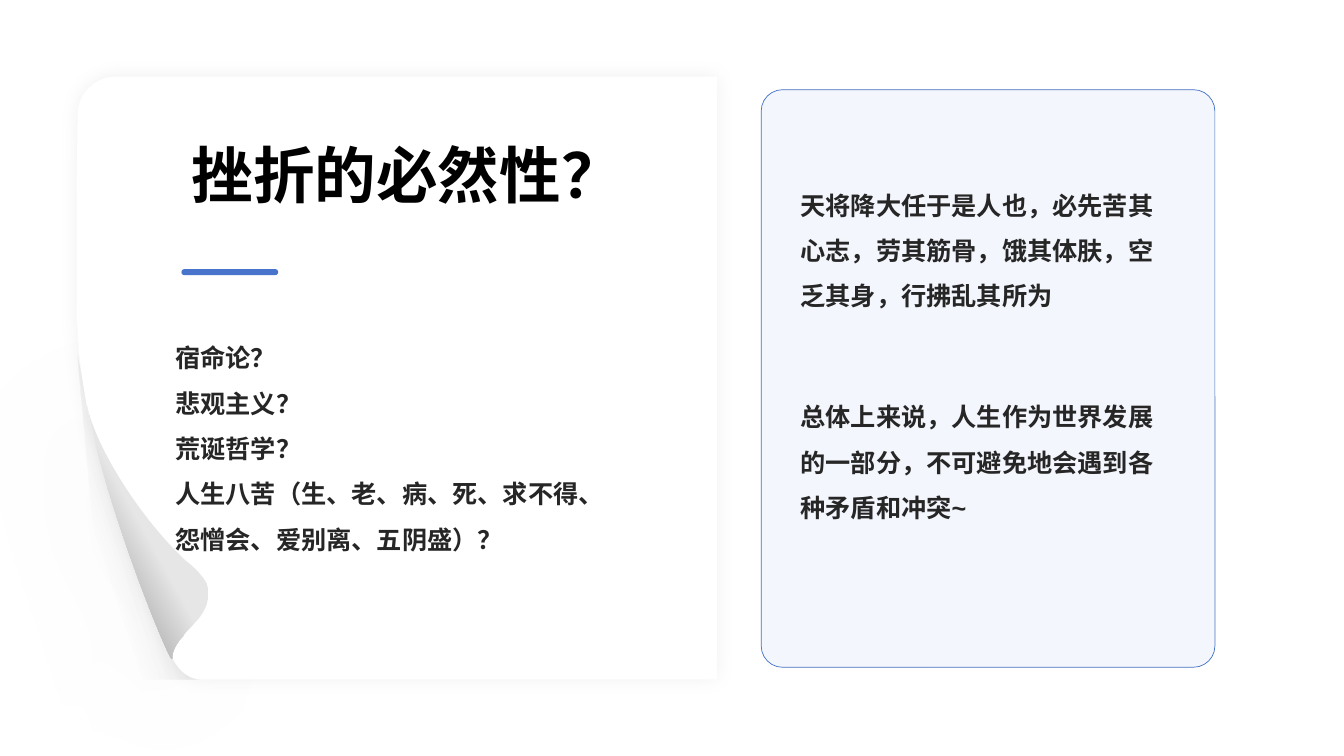
from lxml.etree import SubElement
from pptx import Presentation
from pptx.dml.color import RGBColor
from pptx.enum.shapes import MSO_SHAPE as Shape
from pptx.enum.text import MSO_ANCHOR as Anchor
from pptx.oxml.ns import qn
from pptx.util import Pt

PX = 9144
FONT = "Arial"
BLACK = RGBColor(0x00, 0x00, 0x00)
WHITE = RGBColor(0xFF, 0xFF, 0xFF)
INK = RGBColor(0x26, 0x26, 0x26)
GREY = RGBColor(0x80, 0x80, 0x80)
CURL_LIGHT = RGBColor(0xE7, 0xE6, 0xE6)
CURL_DARK = RGBColor(0x73, 0x73, 0x73)
ACCENT = RGBColor(0x48, 0x74, 0xCB)
CARD_FILL = RGBColor(0xF3, 0xF6, 0xFC)
CARD_LINE = RGBColor(0x44, 0x72, 0xC4)

UNDERSIDE = [
    (1, 275), (29, 586), (29, 591, 32, 598, 38, 598), (67, 598), (123, 598),
    (79, 596, 72, 499, 10, 318), (6, 299, 4, 289, 1, 275),
]
PAGE = [
    (635, 0), (39, 0), (18, 0, 1, 17, 1, 38), (0, 113), (0, 225),
    (0, 234, 0, 243, 1, 251), (2, 269), (5, 300, 10, 331, 18, 361),
    (50, 477, 82, 549, 97, 580), (103, 591, 113, 598, 125, 598), (635, 598),
]
CURL = [
    (8, 327), (18, 370, 63, 438, 108, 479), (115, 484, 126, 494, 130, 502),
    (134, 514, 132, 529, 115, 545), (112, 548, 109, 551, 107, 555),
    (102, 560, 96, 570, 97, 577), (98, 588, 30, 434, 8, 327),
]
QUESTIONS = [
    "宿命论？\v悲观主义？",
    "荒诞哲学？",
    "人生八苦（生、老、病、死、求不得、怨憎会、爱别离、五阴盛）？",
]
ANSWERS = [
    "天将降大任于是人也，必先苦其心志，劳其筋骨，饿其体肤，空乏其身，行拂乱其所为",
    "总体上来说，人生作为世界发展的一部分，不可避免地会遇到各种矛盾和冲突~",
]


def to_emu(*lengths):
    return [length * PX for length in lengths]


def add_outline(slide, left, top, segments):
    ends = [segment[-2:] for segment in segments]
    builder = slide.shapes.build_freeform(*ends[0], scale=PX)
    builder.add_line_segments(ends[1:], close=True)
    shape = builder.convert_to_shape(*to_emu(left, top))
    shape.shadow.inherit = False
    shape.line.fill.background()
    min_x, min_y = (min(values) for values in zip(*ends))
    lines = list(shape._element.spPr.iter(qn("a:lnTo")))
    for line, segment in zip(lines, segments[1:]):
        if len(segment) == 6:
            line.tag = qn("a:cubicBezTo")
            for index, (x, y) in enumerate((segment[:2], segment[2:4])):
                point = SubElement(line, qn("a:pt"), x=str(x - min_x), y=str(y - min_y))
                line.insert(index, point)
    return shape


def add_colour(parent, colour, alpha):
    node = SubElement(parent, qn("a:srgbClr"), val=str(colour))
    if alpha < 100:
        SubElement(node, qn("a:alpha"), val=str(alpha * 1000))


def set_gradient(shape, angle, stops):
    shape.fill.background()
    properties = shape._element.spPr
    gradient = SubElement(properties, qn("a:gradFill"), rotWithShape="1")
    stop_list = SubElement(gradient, qn("a:gsLst"))
    for position, colour, alpha in stops:
        stop = SubElement(stop_list, qn("a:gs"), pos=str(position * 1000))
        add_colour(stop, colour, alpha)
    SubElement(gradient, qn("a:lin"), ang=str(angle * 60000), scaled="0")
    properties.replace(properties.find(qn("a:noFill")), gradient)


def set_shadow(shape, alpha, blur, distance, angle):
    effects = shape._element.spPr.find(qn("a:effectLst"))
    shadow = SubElement(
        effects, qn("a:outerShdw"), blurRad=str(Pt(blur)), dist=str(Pt(distance)),
        dir=str(angle * 60000), algn="ctr", rotWithShape="0",
    )
    add_colour(shadow, BLACK, alpha)


def add_rounded(slide, box, radius, fill):
    shape = slide.shapes.add_shape(Shape.ROUNDED_RECTANGLE, *to_emu(*box))
    shape.shadow.inherit = False
    shape.adjustments[0] = radius
    shape.fill.solid()
    shape.fill.fore_color.rgb = fill
    shape.line.fill.background()
    return shape


def add_text(slide, box, lines, size, colour, anchor=Anchor.TOP, spacing=1.0, gap=0):
    frame = slide.shapes.add_textbox(*to_emu(*box)).text_frame
    frame.word_wrap = True
    frame.vertical_anchor = anchor
    frame.text = "\n".join(lines)
    for index, paragraph in enumerate(frame.paragraphs):
        paragraph.line_spacing = spacing
        paragraph.space_before = Pt(gap if index else 0)
        for run in paragraph.runs:
            run.font.name = FONT
            run.font.size = Pt(size)
            run.font.bold = True
            run.font.color.rgb = colour


def draw_page(slide, left, top):
    underside = add_outline(slide, left, top, UNDERSIDE)
    set_gradient(underside, 162, [(0, BLACK, 34), (72, GREY, 0)])
    set_shadow(underside, 100, 81, 3, 135)

    page = add_outline(slide, left, top, PAGE)
    page.fill.solid()
    page.fill.fore_color.rgb = WHITE
    set_shadow(page, 5, 14, 0, 0)

    add_text(slide, (left + 104, top + 25, 458, 144), ["挫折的必然性？"], 44, BLACK, Anchor.MIDDLE)

    curl = add_outline(slide, left, top, CURL)
    curl.rotation = 1
    set_gradient(curl, 150, [(50, CURL_LIGHT, 100), (100, CURL_DARK, 100)])

    add_rounded(slide, (left + 104, top + 191, 96, 6), 0.5, ACCENT)
    add_text(slide, (left + 88, top + 244, 458, 246), QUESTIONS, 18, INK, spacing=1.5)


def draw_card(slide, left, top, width, height):
    card = add_rounded(slide, (left, top, width, height), 0.047, CARD_FILL)
    card.line.color.rgb = CARD_LINE
    card.line.width = Pt(0.5)
    text_box = (left + 29, top + 19, width - 58, height - 97)
    add_text(slide, text_box, ANSWERS, 18, INK, Anchor.MIDDLE, spacing=1.5, gap=54)


def main():
    presentation = Presentation()
    presentation.slide_width, presentation.slide_height = to_emu(1333, 750)
    slide = presentation.slides.add_slide(presentation.slide_layouts[6])
    draw_page(slide, 76, 76)
    draw_card(slide, 755, 89, 450, 573)
    presentation.save("out.pptx")


if __name__ == "__main__":
    main()
